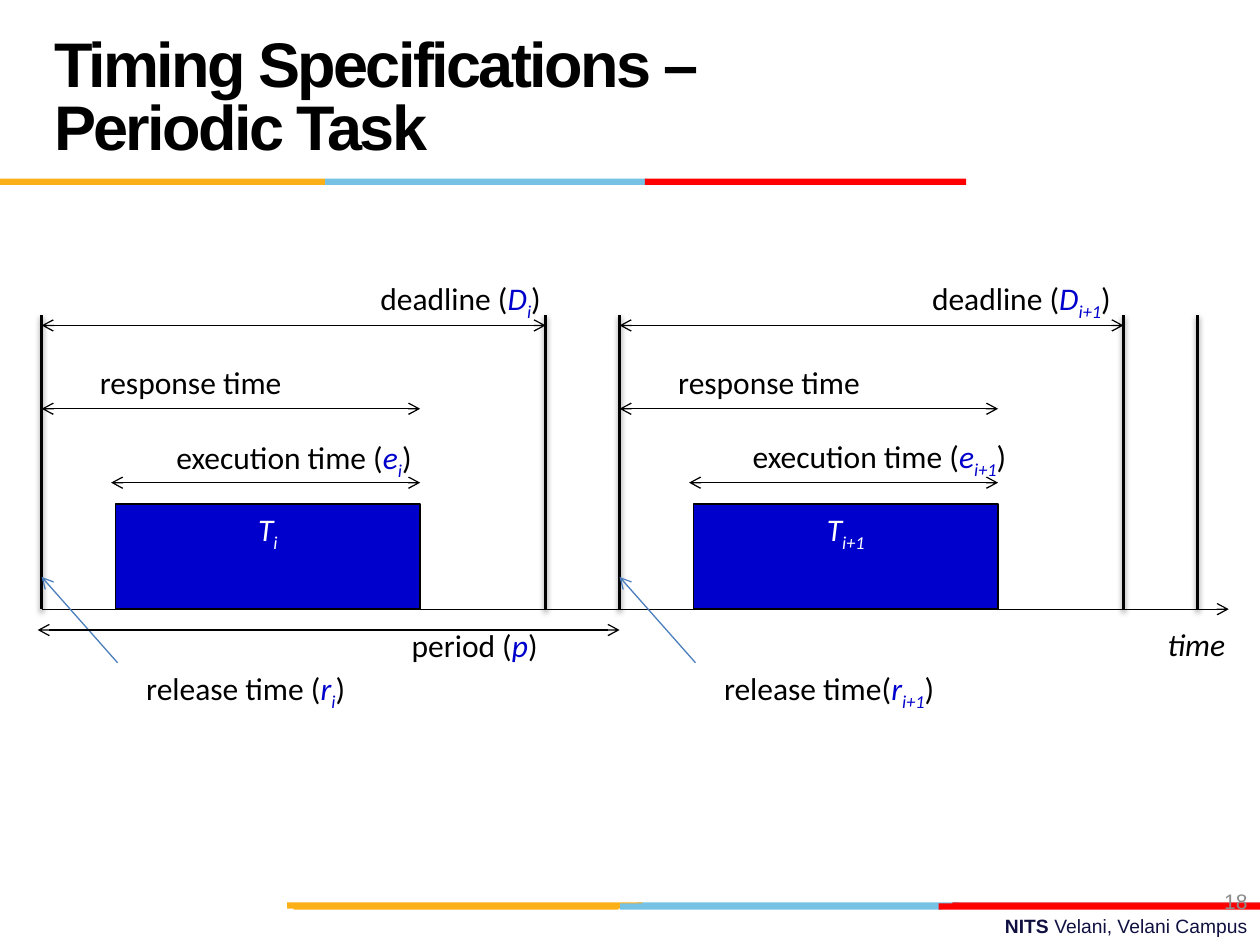
from lxml import etree
from pptx import Presentation
from pptx import util as u
from pptx.dml import color
from pptx.enum import shapes, text
from pptx.oxml import ns, parse_xml

BLACK, BLUE, WHITE, STEEL = "000000", "0000CC", "FFFFFF", "4B7EBC"
ORANGE, SKY, RED, CRIMSON = "FCB017", "76C2E5", "FF0000", "E31C24"
LEFT, CENTER, RIGHT = text.PP_ALIGN.LEFT, text.PP_ALIGN.CENTER, text.PP_ALIGN.RIGHT
SHADOW = (f'<a:effectLst {ns.nsdecls("a")}><a:outerShdw blurRad="40000" dist="20000" '
          'dir="5400000" rotWithShape="0"><a:srgbClr val="000000"><a:alpha val="38000"/>'
          '</a:srgbClr></a:outerShdw></a:effectLst>')
NO_SHADOW = f'<a:effectLst {ns.nsdecls("a")}/>'
rgb = color.RGBColor.from_string

deck = Presentation()
deck.slide_width, deck.slide_height = u.Cm(25.4), u.Cm(19.05)
slide = deck.slides.add_slide(deck.slide_layouts[6])


def write(frame, pieces, align=LEFT, size=18, font="Calibri", ink=BLACK):
    line = frame.paragraphs[0]
    line.alignment = align
    line.font.size, line.font.name = u.Pt(size), font
    for words, style in pieces:
        run = line.add_run()
        run.text = words
        run.font.color.rgb = rgb(BLUE if "v" in style else ink)
        run.font.italic = "i" in style or None
        run.font.bold = "b" in style or None
        if "s" in style:
            run._r.get_or_add_rPr().set("baseline", "-25000")
    return line


def draw_line(x1, y1, x2, y2, ink=BLACK, width=0.75, ends=(), effect=NO_SHADOW):
    line = slide.shapes.add_connector(
        shapes.MSO_CONNECTOR.STRAIGHT, u.Cm(x1), u.Cm(y1), u.Cm(x2), u.Cm(y2))
    line.line.color.rgb = rgb(ink)
    line.line.width = u.Pt(width)
    for end in ends:
        etree.SubElement(line.line._get_or_add_ln(), ns.qn(f"a:{end}"), type="arrow")
    line._element.spPr.append(parse_xml(effect))


campus = slide.shapes.add_textbox(u.Cm(9.09), u.Cm(18.31), u.Cm(16.31), u.Cm(0.74)).text_frame
campus.word_wrap = True
write(campus, [("NITS ", "b"), ("Velani, Velani Campus", "")], RIGHT, 11, "Arial", "101141")

for left, top, width, fill in [
    (12.85, 18.19, 6.48, SKY), (19.2, 18.19, 6.2, CRIMSON), (5.79, 18.19, 7.16, ORANGE),
    (12.5, 18.21, 6.48, SKY), (5.92, 18.21, 6.55, ORANGE), (18.92, 18.21, 6.48, RED),
    (6.55, 3.6, 6.48, SKY), (0, 3.6, 6.55, ORANGE), (13, 3.6, 6.48, RED),
]:
    stripe = slide.shapes.add_shape(
        shapes.MSO_SHAPE.RECTANGLE, u.Cm(left), u.Cm(top), u.Cm(width), u.Cm(0.13))
    stripe.shadow.inherit = False
    stripe.fill.solid()
    stripe.fill.fore_color.rgb = rgb(fill)
    stripe.line.fill.background()

heading = slide.shapes.add_textbox(u.Cm(0.84), u.Cm(0.43), u.Cm(17.58), u.Cm(3.18)).text_frame
heading.word_wrap = True
heading.vertical_anchor = text.MSO_ANCHOR.MIDDLE
title = write(heading, [("Timing Specifications – Periodic Task", "b")], LEFT, 36, "Arial")
title.line_spacing = u.Pt(36)
title.runs[0]._r.get_or_add_rPr().set("spc", "-150")

number = slide.shapes.add_textbox(u.Cm(19.48), u.Cm(17.65), u.Cm(5.92), u.Cm(1.02)).text_frame
number.word_wrap = True
number.vertical_anchor = text.MSO_ANCHOR.MIDDLE
write(number, [("18", "")], RIGHT, 12, "Arial", "8C8C8C")

release, period, deadline = 0.84, 11.65, 10.16
top, axis = 6.35, 12.28
both = ("headEnd", "tailEnd")

draw_line(release, axis, 24.77, axis, ends=("tailEnd",))
for start in (release, release + period):
    task = slide.shapes.add_shape(
        shapes.MSO_SHAPE.RECTANGLE, u.Cm(start + 1.49), u.Cm(10.16), u.Cm(6.14), u.Cm(2.12))
    task.shadow.inherit = False
    task.fill.solid()
    task.fill.fore_color.rgb = rgb(BLUE)
    task.line.color.rgb = rgb(BLACK)
    task.line.width = u.Pt(0.75)
    task.text_frame.vertical_anchor = text.MSO_ANCHOR.TOP
    index = "i" if start == release else "i+1"
    write(task.text_frame, [("T", "i"), (index, "is")], CENTER, ink=WHITE)

    for marker in (start, start + deadline):
        draw_line(marker, top, marker, axis, width=2, effect=SHADOW)
    for first, last, y in [(0, deadline, 6.56), (0, 7.63, 8.24), (1.4, 7.63, 9.73)]:
        draw_line(start + first, y, start + last, y, ends=both)
    draw_line(start + 1.53, 13.36, start, 11.63, ink=STEEL, ends=("tailEnd",))
end_of_period = release + 2 * period
draw_line(end_of_period, top, end_of_period, axis, width=2, effect=SHADOW)
draw_line(0.76, 12.7, release + period, 12.7, ends=both)

for left, y, width, align, words, symbol, index in [
    (7.42, 5.51, 4.09, LEFT, "deadline (", "D", "i"),
    (18.54, 5.51, 4.57, LEFT, "deadline (", "D", "i+1"),
    (1.57, 7.19, 4.55, CENTER, "response time", "", ""),
    (13.23, 7.19, 4.55, CENTER, "response time", "", ""),
    (2.97, 8.71, 5.92, CENTER, "execution time (", "e", "i"),
    (14.63, 8.69, 6.2, CENTER, "execution time (", "e", "i+1"),
    (2.49, 13.36, 4.93, CENTER, "release time (", "r", "i"),
    (14.1, 13.36, 5.23, CENTER, "release time(", "r", "i+1"),
    (8.05, 12.5, 3.25, LEFT, "period (", "p", ""),
    (23.29, 12.47, 1.73, LEFT, "time", "", ""),
]:
    label = slide.shapes.add_textbox(u.Cm(left), u.Cm(y), u.Cm(width), u.Cm(1.02)).text_frame
    label.word_wrap = False
    pieces = [(words, "i" if words == "time" else "")]
    if symbol:
        pieces.append((symbol, "vi"))
        if index:
            pieces.append((index, "vis"))
        pieces.append((")", ""))
    write(label, pieces, align)

deck.save("out.pptx")
